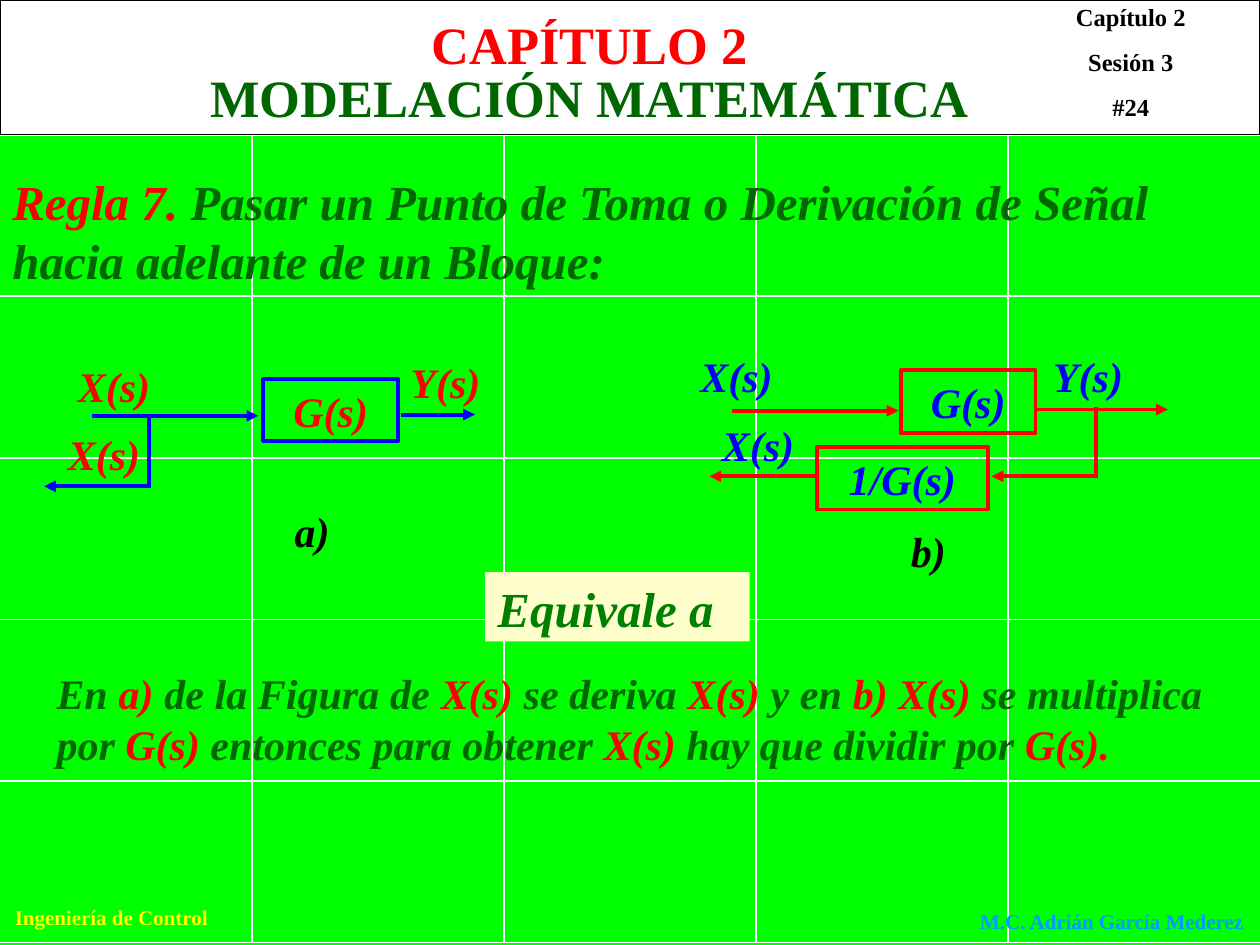
from dataclasses import dataclass
from lxml.etree import SubElement
from pptx import Presentation
from pptx.dml.color import RGBColor
from pptx.enum.shapes import MSO_CONNECTOR as Link, MSO_SHAPE as Preset
from pptx.enum.text import MSO_ANCHOR as Anchor, PP_ALIGN as Align
from pptx.oxml.ns import qn
from pptx.util import Pt


@dataclass(frozen=True)
class Theme:
    font: str = "Times New Roman"
    green: str = "00FF00"
    white: str = "FFFFFF"
    black: str = "000000"
    red: str = "FF0000"
    blue: str = "0000FF"
    forest: str = "006600"
    leaf: str = "008000"
    cream: str = "FFFFCC"
    yellow: str = "FFFF00"
    sky: str = "0099FF"
    title: int = 30
    rule: int = 28
    body: int = 24
    session: int = 14
    footer: int = 12
    thin: float = 0.75
    grid: float = 1
    signal: float = 2.25


theme = Theme()
WIDTH, HEIGHT = 720, 540
HEADER_HEIGHT, GRID_BOTTOM = 77, 538.6
COLUMNS, ROWS = 5, 5
LABEL_SIZE = (67, 43.2)

SESSION = ["Capítulo 2", "Sesión 3", "#24"]
TITLES = [("CAPÍTULO 2", theme.red, 3.6), ("MODELACIÓN MATEMÁTICA", theme.forest, 33.9)]
FOOTERS = [
    ("Ingeniería de Control", theme.yellow, (0, 513.4, 127.4, 21.6), Align.CENTER),
    ("M.C. Adrián García Mederez", theme.sky, (553, 515.5, 167, 21.6), Align.LEFT),
]
RULE = [
    ("Regla 7.", theme.red),
    (" Pasar un Punto de Toma o Derivación de Señal hacia adelante de un Bloque:", theme.forest),
]
EXPLANATION = [
    "En ", "a)", " de la Figura de ", "X(s)", " se deriva ", "X(s)", " y en ", "b) X(s)",
    " se multiplica por ", "G(s)", " entonces para obtener ", "X(s)",
    " hay que dividir por ", "G(s).",
]
DIAGRAMS = [
    {
        "line": theme.blue,
        "text": theme.red,
        "blocks": [("G(s)", (150.5, 216.7, 77, 35.3))],
        "arrows": [(229, 236.9, 271.4, 236.9), (52.6, 237.6, 147.6, 237.6),
                   (85, 277.9, 25.2, 277.9)],
        "branch": (85, 278.6, 85, 239),
        "labels": [("X(s)", 31.7, 241.2), ("X(s)", 37.4, 202.3), ("Y(s)", 227.5, 200.2)],
        "caption": ("a)", (161.3, 285.1, 71.3, 36)),
    },
    {
        "line": theme.red,
        "text": theme.blue,
        "blocks": [("G(s)", (514.8, 211.7, 77, 35.6)), ("1/G(s)", (466.6, 255.6, 98, 35.6))],
        "arrows": [(592.6, 234, 667.4, 234), (418.3, 234.7, 513.4, 234.7),
                   (626.4, 272.2, 566.6, 272.2), (468, 272.2, 405.4, 272.2)],
        "branch": (626.4, 272.9, 626.4, 232.6),
        "labels": [("X(s)", 393.1, 196.6), ("X(s)", 405.4, 236.2), ("Y(s)", 594.7, 196.6)],
        "caption": ("b)", (513.4, 296.6, 34.6, 36)),
    },
]


def color(value):
    return RGBColor.from_string(value)


def write(box, paragraphs, size, align=Align.LEFT, italic=True, before=0):
    frame = box.text_frame
    frame.word_wrap = True
    frame.vertical_anchor = Anchor.TOP
    for index, spans in enumerate(paragraphs):
        para = frame.paragraphs[0] if index == 0 else frame.add_paragraph()
        para.alignment = align
        para.space_before = Pt(before)
        for text, ink in spans:
            span = para.add_run()
            span.text = text
            span.font.name = theme.font
            span.font.size = Pt(size)
            span.font.bold = True
            span.font.italic = italic
            span.font.color.rgb = color(ink)


def add_text(page, place, paragraphs, size, **style):
    box = page.shapes.add_textbox(*map(Pt, place))
    write(box, paragraphs, size, **style)


def add_box(page, place, fill=None, line=None, width=theme.thin):
    box = page.shapes.add_shape(Preset.RECTANGLE, *map(Pt, place))
    box.shadow.inherit = False
    if fill:
        box.fill.solid()
        box.fill.fore_color.rgb = color(fill)
    else:
        box.fill.background()
    if line:
        box.line.color.rgb = color(line)
        box.line.width = Pt(width)
    else:
        box.line.fill.background()
    return box


def add_line(page, ends, ink, width, arrow=False):
    line = page.shapes.add_connector(Link.STRAIGHT, *map(Pt, ends))
    line.line.color.rgb = color(ink)
    line.line.width = Pt(width)
    if arrow:
        SubElement(line.line._get_or_add_ln(), qn("a:tailEnd"), type="triangle")
    SubElement(line._element.spPr, qn("a:effectLst"))


def add_background(page):
    page.background.fill.solid()
    page.background.fill.fore_color.rgb = color(theme.green)
    for column in range(1, COLUMNS):
        x = WIDTH / COLUMNS * column
        add_line(page, (x, HEADER_HEIGHT, x, GRID_BOTTOM), theme.white, theme.grid)
    for row in range(ROWS + 1):
        y = HEADER_HEIGHT + (GRID_BOTTOM - HEADER_HEIGHT) / ROWS * row
        add_line(page, (0, y, WIDTH, y), theme.white, theme.grid)
    add_box(page, (0, 0, WIDTH, HEADER_HEIGHT), theme.white, theme.black)


def add_diagram(page, diagram):
    ink = diagram["text"]
    for text, place in diagram["blocks"]:
        block = add_box(page, place, line=diagram["line"], width=theme.signal)
        write(block, [[(text, ink)]], theme.body, align=Align.CENTER)
    for ends in diagram["arrows"]:
        add_line(page, ends, diagram["line"], theme.signal, arrow=True)
    add_line(page, diagram["branch"], diagram["line"], theme.signal)
    for text, x, y in diagram["labels"]:
        add_text(page, (x, y, *LABEL_SIZE), [[(text, ink)]], theme.body)
    text, place = diagram["caption"]
    add_text(page, place, [[(text, theme.black)]], theme.body)


def main():
    deck = Presentation()
    deck.slide_width, deck.slide_height = Pt(WIDTH), Pt(HEIGHT)
    page = deck.slides.add_slide(deck.slide_layouts[6])
    add_background(page)
    for text, ink, place, align in FOOTERS:
        add_text(page, place, [[(text, ink)]], theme.footer, align=align, italic=False)
    add_text(page, (586.8, -2.2, 118.8, 75.6), [[(text, theme.black)] for text in SESSION],
             theme.session, align=Align.CENTER, italic=False, before=8.8)
    add_text(page, (0, 94.3, 725.8, 74.9), [RULE], theme.rule)
    for diagram in DIAGRAMS:
        add_diagram(page, diagram)
    spans = [(text, (theme.forest, theme.red)[index % 2])
             for index, text in enumerate(EXPLANATION)]
    add_text(page, (25.2, 378, 668.9, 64.8), [spans], theme.body, align=Align.JUSTIFY)
    banner = add_box(page, (277.2, 326.9, 151.2, 39.6), theme.cream)
    write(banner, [[("Equivale a", theme.leaf)]], theme.rule)
    for text, ink, y in TITLES:
        add_text(page, (64.8, y, 544.3, 43.2), [[(text, ink)]], theme.title,
                 align=Align.CENTER, italic=False)
    deck.save("out.pptx")


if __name__ == "__main__":
    main()
